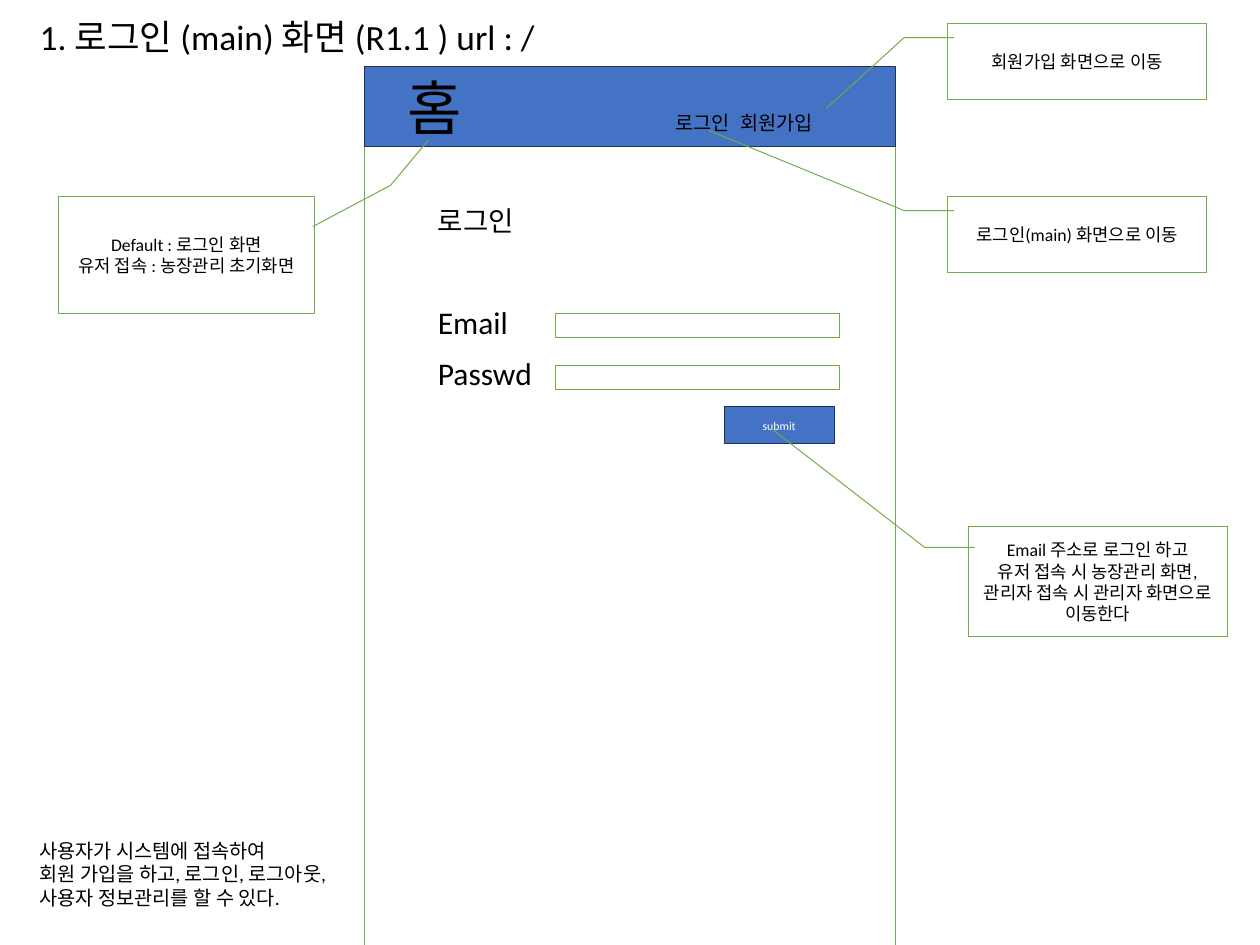
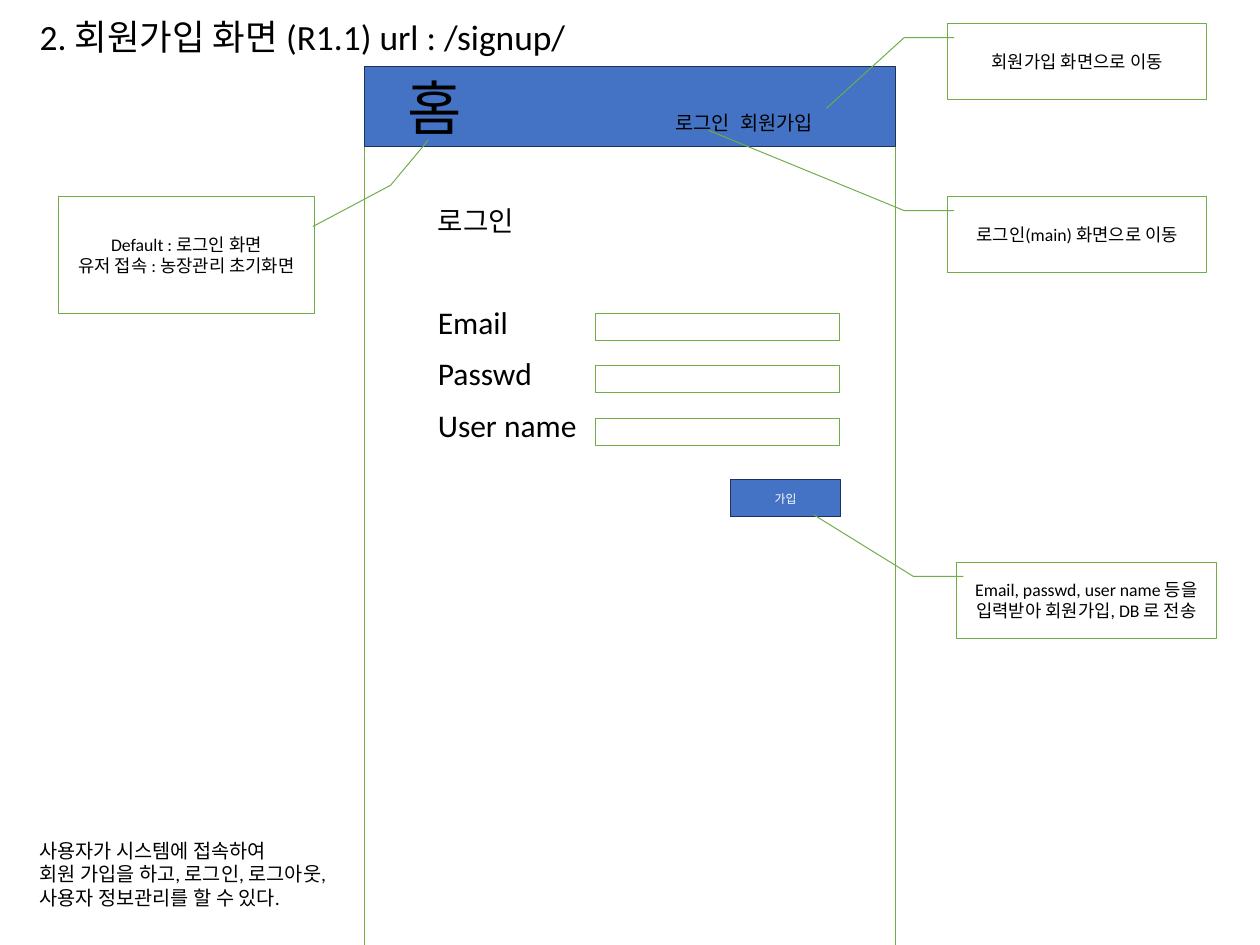
import collections
import dataclasses

import lxml.etree
import pptx
import pptx.dml.color
import pptx.enum.shapes
import pptx.enum.text
import pptx.oxml.ns
import pptx.util

Inches = pptx.util.Inches
Pt = pptx.util.Pt
Kind = pptx.enum.shapes.MSO_SHAPE
Align = pptx.enum.text.PP_ALIGN
Anchor = pptx.enum.text.MSO_ANCHOR
Box = collections.namedtuple("Box", "x y w h")
Run = collections.namedtuple("Run", "text size color")


@dataclasses.dataclass(frozen=True)
class Theme:
    font: str = "Calibri"
    ink: str = "000000"
    white: str = "FFFFFF"
    blue: str = "4472C4"
    navy: str = "1E3256"
    green: str = "70AD47"
    title: int = 36
    home: int = 60
    label: int = 32
    head: int = 28
    body: int = 20
    note: int = 18
    small: int = 12


THEME = Theme()
PAGE = Box(0, 0, 17.78, 13.33)
PANEL = Box(5.14, 0.94, 7.5, 12.41)
NOTE_W = 3.66
# Bends of a leader line, as y, x shares of its note
LEFTWARD = (0.188, 0.026, 0.188, -0.167)
RIGHTWARD = (0.258, 0.993, -0.095, 1.296)


def rgb(code):
    return pptx.dml.color.RGBColor.from_string(code)


def place(box):
    return [Inches(v) for v in box]


def write(frame, paras, align=Align.LEFT, anchor=Anchor.TOP, space=None):
    """Fill a text frame; each paragraph is a list of runs."""
    frame.word_wrap = True
    frame.auto_size = pptx.enum.text.MSO_AUTO_SIZE.NONE
    frame.vertical_anchor = anchor
    for i, runs in enumerate(paras):
        para = frame.add_paragraph() if i else frame.paragraphs[0]
        para.alignment = align
        if space:
            para.line_spacing = space
        for item in runs:
            run = para.add_run()
            run.text = item.text
            run.font.name = THEME.font
            run.font.size = Pt(item.size)
            run.font.color.rgb = rgb(item.color)


def lines(texts, size, color=THEME.ink):
    return [[Run(text, size, color)] for text in texts]


def shape(slide, box, fill=THEME.white, edge=THEME.green, kind=Kind.RECTANGLE):
    item = slide.shapes.add_shape(kind, *place(box))
    item.shadow.inherit = False
    item.fill.solid()
    item.fill.fore_color.rgb = rgb(fill)
    item.line.color.rgb = rgb(edge)
    item.line.width = Pt(1)
    return item


def text(slide, box, paras, **style):
    frame = slide.shapes.add_textbox(*place(box)).text_frame
    write(frame, paras, **style)
    return frame


def tabs(para, stops):
    props = para._p.get_or_add_pPr()
    group = lxml.etree.SubElement(props, pptx.oxml.ns.qn("a:tabLst"))
    for stop in stops:
        tab = lxml.etree.SubElement(group, pptx.oxml.ns.qn("a:tab"))
        tab.set("pos", str(Inches(stop)))
        tab.set("algn", "l")


def heading(slide, box, words):
    title = slide.shapes.title
    title.left, title.top, title.width, title.height = place(box)
    write(title.text_frame, lines([words], THEME.title))


def panel(slide, box):
    """Page frame with its menu bar."""
    shape(slide, Box(box.x, box.y + 0.11, box.w, box.h - 0.11))
    bar = shape(slide, box._replace(h=1.13), THEME.blue, THEME.navy)
    frame = bar.text_frame
    frame.margin_left = Inches(0.61)
    menu = [Run("홈", THEME.home, THEME.ink),
            Run("\t로그인", THEME.body, THEME.ink),
            Run("\t회원가입", THEME.body, THEME.ink)]
    write(frame, [menu], anchor=Anchor.BOTTOM, space=0.9)
    tabs(frame.paragraphs[0], [3.78, 4.7])


def form(slide, box, labels, field):
    """Labels with one input each; field is the first input's box."""
    paras = lines(["로그인"], THEME.head) + lines(labels, THEME.label)
    frame = text(slide, box, paras, space=0.9)
    for i, para in enumerate(frame.paragraphs[1:]):
        para.space_before = Pt(17.8 if i else 70.7)
    for i in range(len(labels)):
        shape(slide, field._replace(y=field.y + 0.74 * i))


def button(slide, x, y, word):
    item = shape(slide, Box(x, y, 1.55, 0.52), THEME.blue, THEME.navy)
    write(item.text_frame, lines([word], THEME.small, THEME.white),
          Align.CENTER, Anchor.MIDDLE)


def note(slide, box, tip, texts, bend=LEFTWARD):
    """Boxed remark whose leader ends at the page point tip."""
    item = shape(slide, box, kind=Kind.LINE_CALLOUT_2)
    end = ((tip[1] - box.y) / box.h, (tip[0] - box.x) / box.w)
    for i, share in enumerate(bend + end):
        item.adjustments[i] = share
    write(item.text_frame, lines(texts, THEME.note),
          Align.CENTER, Anchor.MIDDLE)


def screen(deck, title, labels, field, push, remark):
    slide = deck.slides.add_slide(deck.slide_layouts[5])
    heading(slide, Box(0.46, 0.16, 9.04, 0.71), title)
    panel(slide, PANEL)
    form(slide, Box(PANEL.x + 0.94, PANEL.y + 1.94, 5.62, 7), labels, field)
    button(slide, *push)
    # Purpose of the screens
    text(slide, Box(0.46, 11.78, 4.68, 1.11), lines([
        "사용자가 시스템에 접속하여",
        "회원 가입을 하고, 로그인, 로그아웃,",
        "사용자 정보관리를 할 수 있다."], THEME.body))
    # Remarks on the menu and the button
    note(slide, Box(13.37, 0.33, NOTE_W, 1.07), (11.66, 1.53),
         ["회원가입 화면으로 이동"])
    note(slide, Box(13.37, 2.77, NOTE_W, 1.07), (10, 1.84),
         ["로그인(main) 화면으로 이동"])
    note(slide, Box(0.82, 2.77, 3.62, 1.65), (6.04, 1.98),
         ["Default : 로그인 화면", "유저 접속 : 농장관리 초기화면"], RIGHTWARD)
    note(slide, *remark)


deck = pptx.Presentation()
deck.slide_width, deck.slide_height = Inches(PAGE.w), Inches(PAGE.h)

# Login screen
screen(deck, "1. 로그인 (main) 화면 (R1.1 ) url : /",
       ["Email", "Passwd"], Box(7.84, 4.42, 4, 0.34),
       (10.22, 5.74, "submit"),
       (Box(13.66, 7.43, NOTE_W, 1.55), (10.89, 6.05),
        ["Email 주소로 로그인 하고", "유저 접속 시 농장관리 화면,",
         "관리자 접속 시 관리자 화면으로 이동한다"]))

# Sign-up screen
screen(deck, "2. 회원가입 화면 (R1.1) url : /signup/",
       ["Email", "Passwd", "User name"], Box(8.4, 4.42, 3.44, 0.38),
       (10.31, 6.77, "가입"),
       (Box(13.5, 7.93, NOTE_W, 1.07), (11.48, 7.26),
        ["Email, passwd, user name 등을 입력받아 회원가입, DB 로 전송"]))

deck.save("out.pptx")
